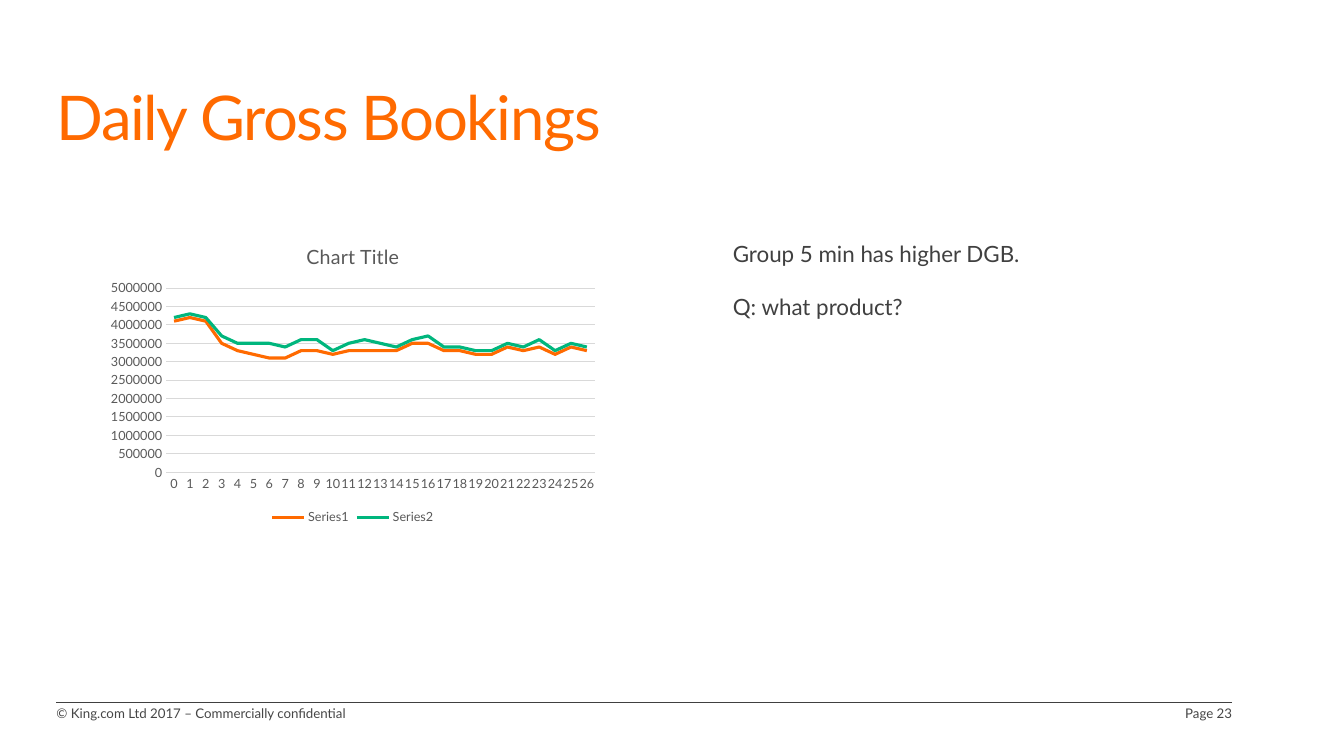
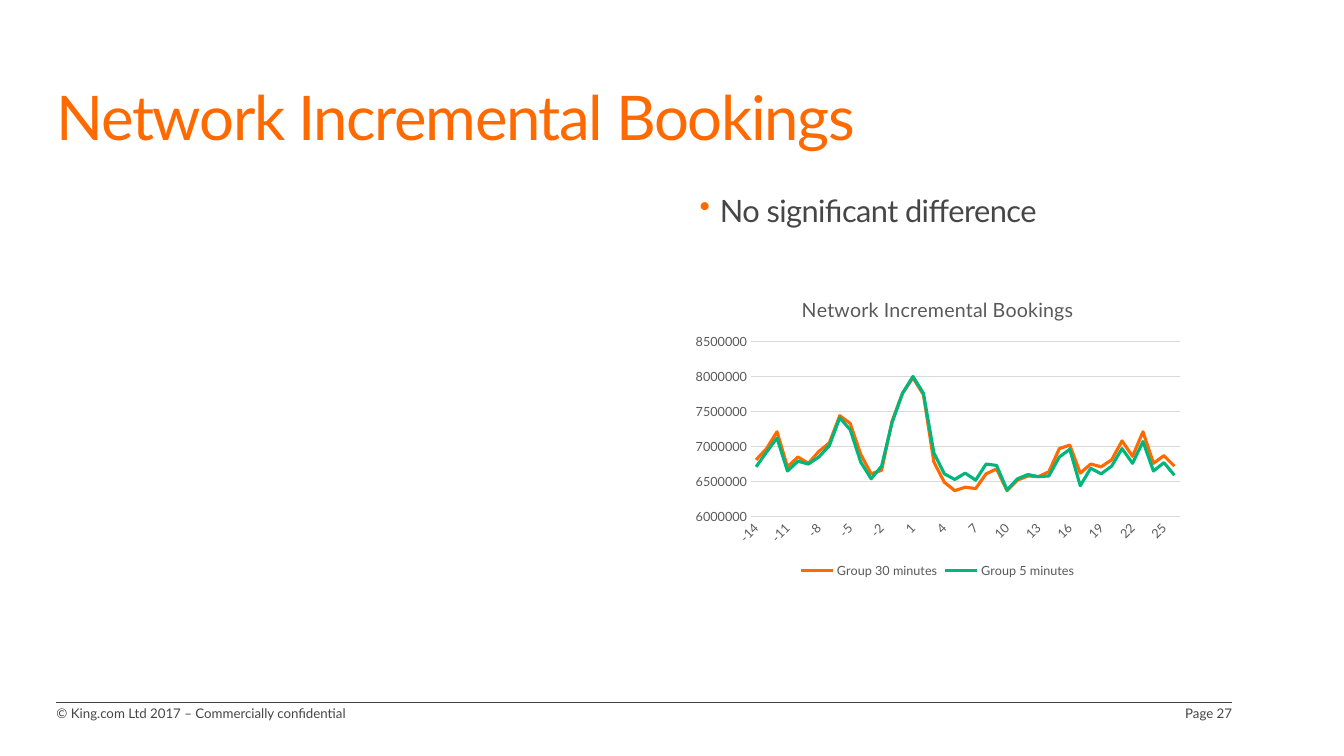
from dataclasses import dataclass

from lxml import etree
from pptx import Presentation
from pptx.chart.data import CategoryChartData
from pptx.dml.color import RGBColor
from pptx.enum.chart import XL_CHART_TYPE, XL_LEGEND_POSITION, XL_TICK_MARK
from pptx.enum.shapes import MSO_CONNECTOR
from pptx.enum.text import MSO_ANCHOR, PP_ALIGN
from pptx.oxml.ns import qn
from pptx.util import Inches, Pt

LINE_CHART = XL_CHART_TYPE.LINE
LEGEND_BOTTOM = XL_LEGEND_POSITION.BOTTOM
NO_TICKS = XL_TICK_MARK.NONE
STRAIGHT = MSO_CONNECTOR.STRAIGHT
TOP, MIDDLE = MSO_ANCHOR.TOP, MSO_ANCHOR.MIDDLE
LEFT, RIGHT = PP_ALIGN.LEFT, PP_ALIGN.RIGHT


@dataclass(frozen=True)
class Theme:
    font: str = "Lato"
    orange: RGBColor = RGBColor(0xFF, 0x6A, 0x00)
    green: RGBColor = RGBColor(0x00, 0xB6, 0x7D)
    body: RGBColor = RGBColor(0x46, 0x46, 0x46)
    dark: RGBColor = RGBColor(0x40, 0x40, 0x40)
    chart_text: RGBColor = RGBColor(0x59, 0x59, 0x59)
    grid: RGBColor = RGBColor(0xD9, 0xD9, 0xD9)
    title_size: float = 44
    bullet_size: float = 22
    comment_size: float = 16
    footer_size: float = 9.5
    chart_title_size: float = 14
    chart_size: float = 9


THEME = Theme()
MARGIN = 0.56
CONTENT_RIGHT = 12.22
FOOTER_TOP = 7

# Daily bookings in hundred thousands, from day 0
DAILY_BOOKINGS = {
    "Series1": [41, 42, 41, 35, 33, 32, 31, 31, 33, 33, 32, 33, 33, 33, 33,
                35, 35, 33, 33, 32, 32, 34, 33, 34, 32, 34, 33],
    "Series2": [42, 43, 42, 37, 35, 35, 35, 34, 36, 36, 33, 35, 36, 35, 34,
                36, 37, 34, 34, 33, 33, 35, 34, 36, 33, 35, 34],
}
# Network bookings in ten thousands, from day -14
NETWORK_BOOKINGS = {
    "Group 30 minutes": [
        681, 697, 721, 671, 685, 676, 693, 705, 744, 733, 689, 661, 666, 736,
        776, 798, 774, 678, 649, 637, 642, 640, 661, 668, 637, 652, 658, 657,
        664, 697, 702, 662, 675, 671, 681, 708, 686, 721, 676, 687, 672],
    "Group 5 minutes": [
        671, 692, 712, 665, 679, 675, 685, 701, 741, 724, 678, 654, 672, 734,
        776, 800, 776, 691, 661, 653, 662, 652, 675, 673, 638, 654, 660, 657,
        658, 685, 696, 644, 669, 661, 672, 697, 676, 707, 665, 677, 659],
}


def style_font(font, size, color):
    font.name = THEME.font
    font.size = Pt(size)
    font.bold = False
    font.color.rgb = color


def add_text(slide, box, lines, size, color, inset=(0, 0), anchor=TOP,
             align=LEFT, line_spacing=None, gap=0, tracking=0, bullet=False):
    """Add one paragraph per line; gap and tracking are in points."""
    frame = slide.shapes.add_textbox(*map(Inches, box)).text_frame
    frame.word_wrap = True
    frame.vertical_anchor = anchor
    frame.margin_left = frame.margin_right = Inches(inset[0])
    frame.margin_top = frame.margin_bottom = Inches(inset[1])
    frame.text = "\n".join(lines)
    for index, paragraph in enumerate(frame.paragraphs):
        if bullet:
            add_bullet(paragraph)
        paragraph.alignment = align
        if line_spacing:
            paragraph.line_spacing = line_spacing
        if index:
            paragraph.space_before = Pt(gap)
        for run in paragraph.runs:
            style_font(run.font, size, color)
            if tracking:
                run._r.get_or_add_rPr().set("spc", str(round(tracking * 100)))


def add_bullet(paragraph):
    properties = paragraph._p.get_or_add_pPr()
    indent = Inches(0.2)
    properties.set("marL", str(indent))
    properties.set("indent", str(-indent))
    bullet_color = etree.SubElement(properties, qn("a:buClr"))
    etree.SubElement(bullet_color, qn("a:srgbClr"), val=str(THEME.orange))
    etree.SubElement(properties, qn("a:buChar"), char="•")


def add_footer(slide, page):
    rule_y = Inches(6.97)
    rule = slide.shapes.add_connector(
        STRAIGHT, Inches(CONTENT_RIGHT), rule_y, Inches(MARGIN), rule_y)
    rule.line.color.rgb = THEME.dark
    rule.line.width = Pt(0.5)
    etree.SubElement(rule._element.spPr, qn("a:effectLst"))
    add_text(slide, (MARGIN, FOOTER_TOP, 4.25, 0.29),
             ["© King.com Ltd 2017 – Commercially confidential"],
             THEME.footer_size, THEME.body)
    page_width = 0.79
    add_text(slide, (CONTENT_RIGHT - page_width, FOOTER_TOP, page_width, 0.13),
             [f"Page {page}"], THEME.footer_size, THEME.body, align=RIGHT)


def add_titled_slide(deck, title, page):
    slide = deck.slides.add_slide(deck.slide_layouts[6])
    add_footer(slide, page)
    add_text(slide, (MARGIN, 0.52, 12.32, 1.38), [title], THEME.title_size,
             THEME.orange, anchor=MIDDLE, line_spacing=0.85, tracking=-1)
    return slide


def style_axis(axis):
    axis.major_tick_mark = axis.minor_tick_mark = NO_TICKS
    style_font(axis.tick_labels.font, THEME.chart_size, THEME.chart_text)


def add_line_chart(slide, left, top, title, bookings, unit, first_day,
                   minimum, maximum):
    days = len(next(iter(bookings.values())))
    data = CategoryChartData(number_format="General")
    data.categories = range(first_day, first_day + days)
    for name, values in bookings.items():
        data.add_series(name, [value * unit for value in values])
    chart = slide.shapes.add_chart(
        LINE_CHART, Inches(left), Inches(top), Inches(5), Inches(3), data).chart
    style_font(chart.font, THEME.chart_size, THEME.chart_text)

    heading = chart.chart_title.text_frame
    heading.text = title
    style_font(heading.paragraphs[0].runs[0].font,
               THEME.chart_title_size, THEME.chart_text)
    chart.has_legend = True
    chart.legend.position = LEGEND_BOTTOM
    chart.legend.include_in_layout = False
    style_font(chart.legend.font, THEME.chart_size, THEME.chart_text)

    day_axis, value_axis = chart.category_axis, chart.value_axis
    for axis in (day_axis, value_axis):
        style_axis(axis)
    # This value lets the renderer choose the label angle
    day_axis._element.find(qn("c:txPr")).find(qn("a:bodyPr")).set("rot", "-60000000")
    value_axis.minimum_scale = minimum
    value_axis.maximum_scale = maximum
    value_axis.major_unit = 500_000
    value_axis.format.line.fill.background()
    for line in (day_axis.format.line, value_axis.major_gridlines.format.line):
        line.color.rgb = THEME.grid
        line.width = Pt(0.75)

    plot = chart.plots[0]
    plot.vary_by_categories = False
    for series, color in zip(plot.series, (THEME.orange, THEME.green)):
        series.smooth = False
        series.format.line.color.rgb = color
        series.format.line.width = Pt(2.25)


def add_daily_slide(deck):
    slide = add_titled_slide(deck, "Daily Gross Bookings", 23)
    add_line_chart(slide, 1, 2.25, "Chart Title", DAILY_BOOKINGS,
                   unit=100_000, first_day=0, minimum=0, maximum=5_000_000)
    add_text(slide, (7.17, 2.33, 4.75, 0.81),
             ["Group 5 min has higher DGB.", "Q: what product?"],
             THEME.comment_size, THEME.dark, inset=(0.1, 0.05), gap=19.2)


def add_network_slide(deck):
    title = "Network Incremental Bookings"
    slide = add_titled_slide(deck, title, 27)
    add_text(slide, (6.94, 1.94, 5.94, 4.69), ["No significant difference"],
             THEME.bullet_size, THEME.body, line_spacing=0.9, tracking=-0.4,
             bullet=True)
    add_line_chart(slide, 6.8, 2.78, title, NETWORK_BOOKINGS,
                   unit=10_000, first_day=-14,
                   minimum=6_000_000, maximum=8_500_000)


def main():
    deck = Presentation()
    deck.slide_width, deck.slide_height = Inches(13.33), Inches(7.5)
    add_daily_slide(deck)
    add_network_slide(deck)
    deck.save("out.pptx")


if __name__ == "__main__":
    main()
